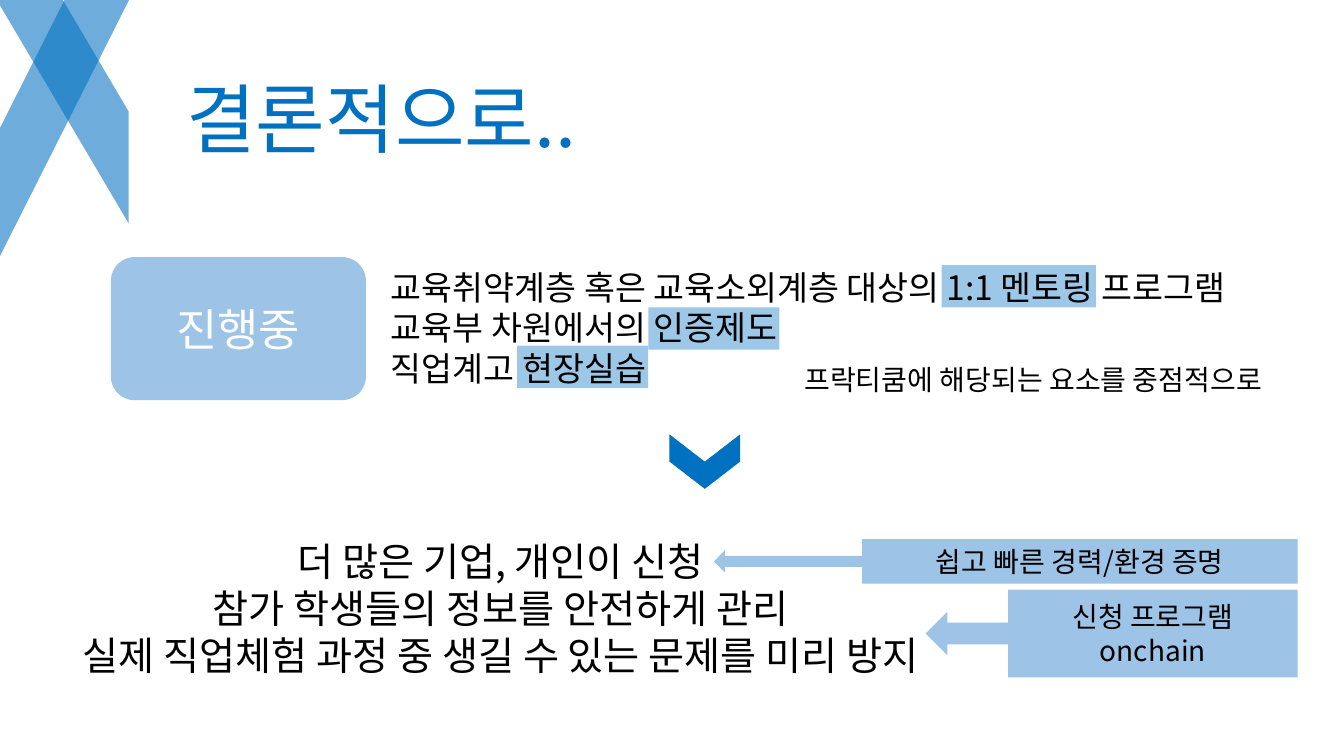
from dataclasses import dataclass

from lxml import etree
from pptx import Presentation
from pptx.dml.color import RGBColor
from pptx.enum.shapes import MSO_SHAPE
from pptx.enum.text import MSO_ANCHOR, PP_ALIGN
from pptx.oxml.ns import qn
from pptx.util import Inches, Pt

STRIPE = MSO_SHAPE.DIAGONAL_STRIPE
CHEVRON = MSO_SHAPE.CHEVRON
ROUNDED = MSO_SHAPE.ROUNDED_RECTANGLE
RECTANGLE = MSO_SHAPE.RECTANGLE
CALLOUT = MSO_SHAPE.LEFT_ARROW_CALLOUT
LEFT, CENTER = PP_ALIGN.LEFT, PP_ALIGN.CENTER
MIDDLE = MSO_ANCHOR.MIDDLE

FONT = "Noto Sans CJK KR"
COLORS = {"blue": "0070C0", "pale": "9DC3E6", "black": "000000", "white": "FFFFFF"}

Box = tuple[float, float, float, float]


@dataclass(frozen=True)
class Figure:
    preset: MSO_SHAPE
    box: Box
    color: str
    rotation: float = 0
    opacity: int = 100
    adjustments: tuple[float, ...] = ()
    lines: tuple[str, ...] = ()
    size: float = 20
    text_color: str = "black"


@dataclass(frozen=True)
class Caption:
    box: Box
    lines: tuple[str, ...]
    size: float
    color: str = "black"
    align: PP_ALIGN = LEFT


DECORATION = [
    Figure(STRIPE, (0, 0, 1.28, 2.54), "blue", opacity=57),
    Figure(STRIPE, (-0.49, 0.45, 2.22, 1.31), "blue", rotation=90, opacity=57),
]
TITLE = Caption((1.75, 0.66, 10.47, 1.01), ("결론적으로..",), 54, "blue")
STATUS = [
    Figure(CHEVRON, (6.72, 4.23, 0.54, 0.7), "blue", rotation=90),
    Figure(ROUNDED, (1.1, 2.55, 2.53, 1.42), "pale", lines=("진행중",), size=32,
           text_color="white"),
]
GOALS = Caption(
    (-0.68, 5.28, 11.29, 1.51),
    ("더 많은 기업, 개인이 신청", "참가 학생들의 정보를 안전하게 관리",
     "실제 직업체험 과정 중 생길 수 있는 문제를 미리 방지"),
    28, align=CENTER)
HIGHLIGHTS = [
    Figure(RECTANGLE, (left, top, width, 0.42), "blue", opacity=39)
    for left, top, width in ((9.34, 2.63, 1.53), (6.43, 3.05, 1.3), (5.13, 3.43, 1.3))
]
PROGRAMS = Caption(
    (3.78, 2.6, 11.1, 1.31),
    ("교육취약계층 혹은 교육소외계층 대상의 1:1 멘토링 프로그램",
     "교육부 차원에서의 인증제도", "직업계고 현장실습"), 24)
FOCUS = Caption((7.88, 3.55, 4.79, 0.44), ("프락티쿰에 해당되는 요소를 중점적으로",), 20)
BENEFITS = [
    Figure(CALLOUT, (7.08, 5.35, 5.79, 0.44), "pale",
           adjustments=(0.25, 0.25, 0.25, 0.746), lines=("쉽고 빠른 경력/환경 증명",)),
    Figure(CALLOUT, (9.18, 5.85, 3.69, 0.87), "pale",
           adjustments=(0.25, 0.25, 0.25, 0.778), lines=("신청 프로그램", "onchain")),
]


def write_text(frame, lines: tuple[str, ...], *, size: float, color: str,
               align: PP_ALIGN) -> None:
    frame.word_wrap = True
    for index, line in enumerate(lines):
        paragraph = frame.paragraphs[0] if index == 0 else frame.add_paragraph()
        paragraph.alignment = align
        run = paragraph.add_run()
        run.text = line
        run.font.size = Pt(size)
        run.font.name = FONT
        run.font.color.rgb = RGBColor.from_string(COLORS[color])
        east_asian = etree.SubElement(run.font._element, qn("a:ea"))
        east_asian.set("typeface", FONT)


def draw_figure(slide, figure: Figure) -> None:
    shape = slide.shapes.add_shape(figure.preset, *map(Inches, figure.box))
    shape.shadow.inherit = False
    shape.rotation = figure.rotation
    for index, value in enumerate(figure.adjustments):
        shape.adjustments[index] = value
    shape.fill.solid()
    shape.fill.fore_color.rgb = RGBColor.from_string(COLORS[figure.color])
    shape.line.fill.background()
    if figure.opacity < 100:
        fill_color = shape._element.spPr.find(qn("a:solidFill"))[0]
        etree.SubElement(fill_color, qn("a:alpha")).set("val", str(figure.opacity * 1000))
    if figure.lines:
        shape.text_frame.vertical_anchor = MIDDLE
        write_text(shape.text_frame, figure.lines, size=figure.size,
                   color=figure.text_color, align=CENTER)


def draw_caption(slide, caption: Caption) -> None:
    textbox = slide.shapes.add_textbox(*map(Inches, caption.box))
    write_text(textbox.text_frame, caption.lines, size=caption.size,
               color=caption.color, align=caption.align)


def main() -> None:
    presentation = Presentation()
    presentation.slide_width = Inches(13.33)
    presentation.slide_height = Inches(7.5)
    slide = presentation.slides.add_slide(presentation.slide_layouts[6])
    for element in (*DECORATION, TITLE, *STATUS, GOALS, *HIGHLIGHTS, PROGRAMS, FOCUS,
                    *BENEFITS):
        if isinstance(element, Figure):
            draw_figure(slide, element)
        else:
            draw_caption(slide, element)
    presentation.save("out.pptx")


if __name__ == "__main__":
    main()
